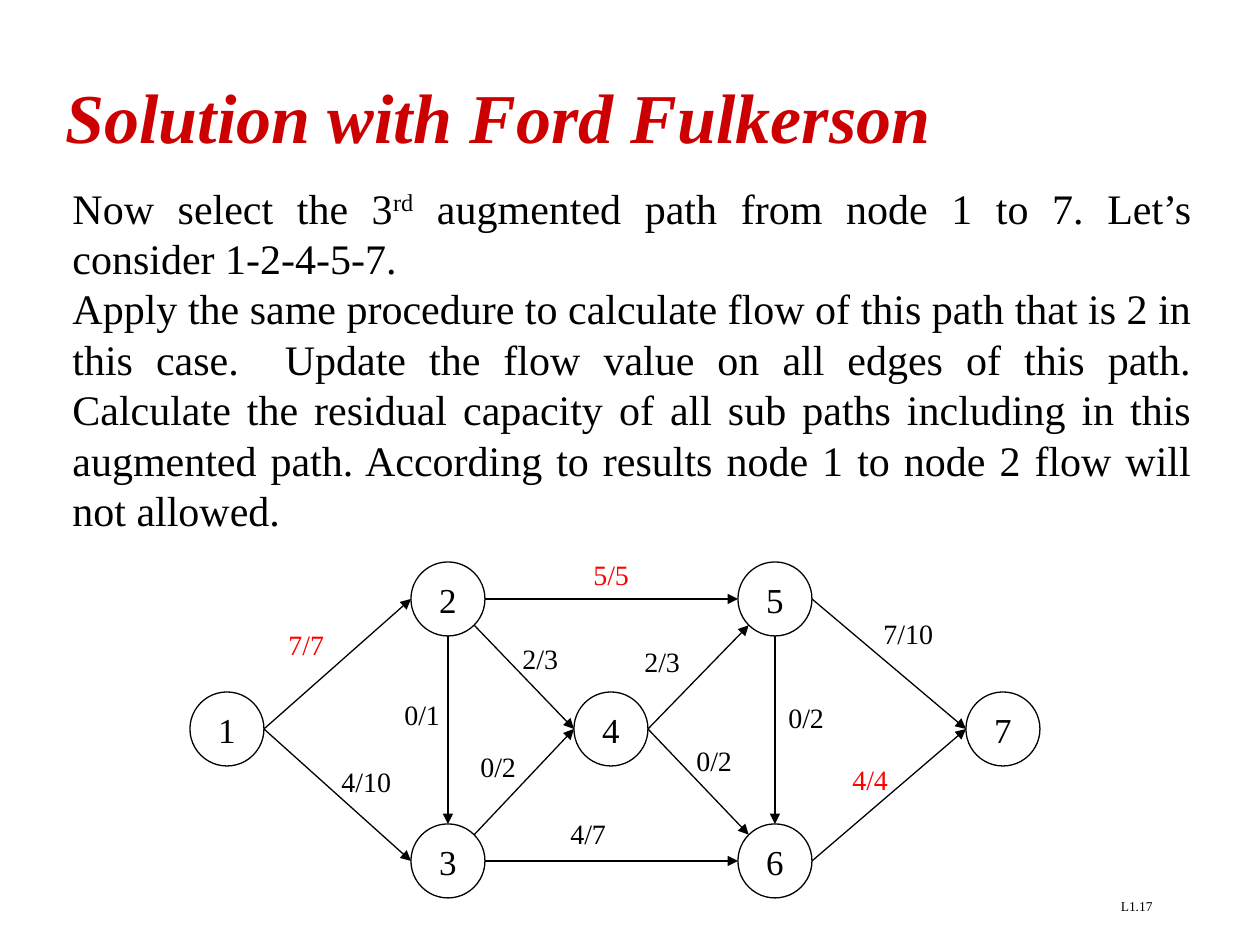
from lxml import etree
from pptx import Presentation
from pptx import util as u
from pptx.dml.color import RGBColor
from pptx.enum import shapes, text
from pptx.oxml.ns import qn

# Content
TITLE = "Solution with Ford Fulkerson"
BODY = [
    [("Now select the 3", False), ("rd", True),
     (" augmented path from node 1 to 7. Let’s consider 1-2-4-5-7.", False)],
    [("Apply the same procedure to calculate flow of this path that is 2 in "
      "this case.  Update the flow value on all edges of this path. Calculate "
      "the residual capacity of all sub paths including in this augmented "
      "path. According to results node 1 to node 2 flow will not allowed.", False)],
]
PAGE_NUMBER = "L1.17"

# Node centres, in px
NODES = {1: (227, 729), 2: (448, 599), 3: (448, 861), 4: (611, 729),
         5: (775, 599), 6: (775, 861), 7: (1003, 729)}
RADIUS = 37

# Points where an edge meets a circle, as directions from the centre
DIAGONAL = 0.71
SITES = {"left": (-1, 0), "right": (1, 0), "top": (0, -1), "bottom": (0, 1),
         "lower left": (-DIAGONAL, DIAGONAL),
         "lower right": (DIAGONAL, DIAGONAL),
         "upper left": (-DIAGONAL, -DIAGONAL),
         "upper right": (DIAGONAL, -DIAGONAL)}

# From node, site, to node, site, flow/capacity, label left and top in px
EDGES = [
    (1, "right", 2, "left", "7/7", 276, 621),
    (1, "right", 3, "left", "4/10", 329, 758),
    (2, "right", 5, "left", "5/5", 581, 551),
    (3, "right", 6, "left", "4/7", 558, 810),
    (2, "bottom", 3, "top", "0/1", 392, 691),
    (2, "lower right", 4, "left", "2/3", 510, 635),
    (3, "upper right", 4, "left", "0/2", 468, 743),
    (4, "right", 5, "lower left", "2/3", 632, 638),
    (4, "right", 6, "upper left", "0/2", 684, 737),
    (5, "bottom", 6, "top", "0/2", 776, 694),
    (5, "right", 7, "left", "7/10", 871, 610),
    (6, "right", 7, "left", "4/4", 840, 756),
]

COLORS = {"title": "CC0000", "ink": "000000", "full": "FF0000"}
FONT = "Times New Roman"
PX = 914400 // 126


def px(*lengths):
    return [u.Emu(round(length * PX)) for length in lengths]


def color(name):
    return RGBColor.from_string(COLORS[name])


def style(para, size, name="ink", align=text.PP_ALIGN.LEFT):
    para.alignment = align
    para.font.name = FONT
    para.font.size = u.Pt(size)
    para.font.color.rgb = color(name)


def add_text(page, words, place, size, name="ink", align=text.PP_ALIGN.LEFT):
    box = page.shapes.add_textbox(*px(*place))
    box.text_frame.word_wrap = True
    para = box.text_frame.paragraphs[0]
    para.text = words
    style(para, size, name, align)


def add_node(page, number, center):
    x, y = center
    node = page.shapes.add_shape(
        shapes.MSO_SHAPE.OVAL,
        *px(x - RADIUS, y - RADIUS, 2 * RADIUS, 2 * RADIUS))
    node.shadow.inherit = False
    node.fill.background()
    node.line.color.rgb = color("ink")
    node.line.width = u.Pt(0.75)
    node.text_frame.vertical_anchor = text.MSO_ANCHOR.TOP
    para = node.text_frame.paragraphs[0]
    para.text = str(number)
    style(para, 20, align=text.PP_ALIGN.CENTER)


def site_point(number, site):
    return [c + RADIUS * d for c, d in zip(NODES[number], SITES[site])]


def add_arrow(page, start, end):
    arrow = page.shapes.add_connector(
        shapes.MSO_CONNECTOR.STRAIGHT, *px(*start, *end))
    arrow.line.color.rgb = color("ink")
    arrow.line.width = u.Pt(0.75)
    etree.SubElement(arrow.line._get_or_add_ln(), qn("a:tailEnd"), type="triangle")
    etree.SubElement(arrow._element.spPr, qn("a:effectLst"))


def main():
    deck = Presentation()
    deck.slide_width, deck.slide_height = u.Inches(10), u.Inches(7.5)
    page = deck.slides.add_slide(deck.slide_layouts[5])

    # Title
    title = page.shapes.title
    title.left, title.top, title.width, title.height = px(53, 53, 1176, 126)
    title.text_frame.vertical_anchor = text.MSO_ANCHOR.MIDDLE
    para = title.text_frame.paragraphs[0]
    para.text = TITLE
    style(para, 40, "title")
    para.font.bold = para.font.italic = True

    # Explanation
    box = page.shapes.add_textbox(*px(60, 176, 1144, 567))
    frame = box.text_frame
    frame.word_wrap = True
    for index, parts in enumerate(BODY):
        para = frame.add_paragraph() if index else frame.paragraphs[0]
        for words, raised in parts:
            span = para.add_run()
            span.text = words
            if raised:
                span.font._element.set("baseline", "30000")
        style(para, 24, align=text.PP_ALIGN.JUSTIFY)

    # Flow network
    for number, center in NODES.items():
        add_node(page, number, center)
    for source, leave, target, enter, label, left, top in EDGES:
        add_arrow(page, site_point(source, leave), site_point(target, enter))
        flow, capacity = label.split("/")
        width = 64 + 18 * (len(label) - 3)
        add_text(page, label, (left, top, width, 47), 16,
                 "full" if flow == capacity else "ink")

    # Page number
    add_text(page, PAGE_NUMBER, (903, 892, 262, 32), 7.7,
             align=text.PP_ALIGN.RIGHT)
    deck.save("out.pptx")


if __name__ == "__main__":
    main()
